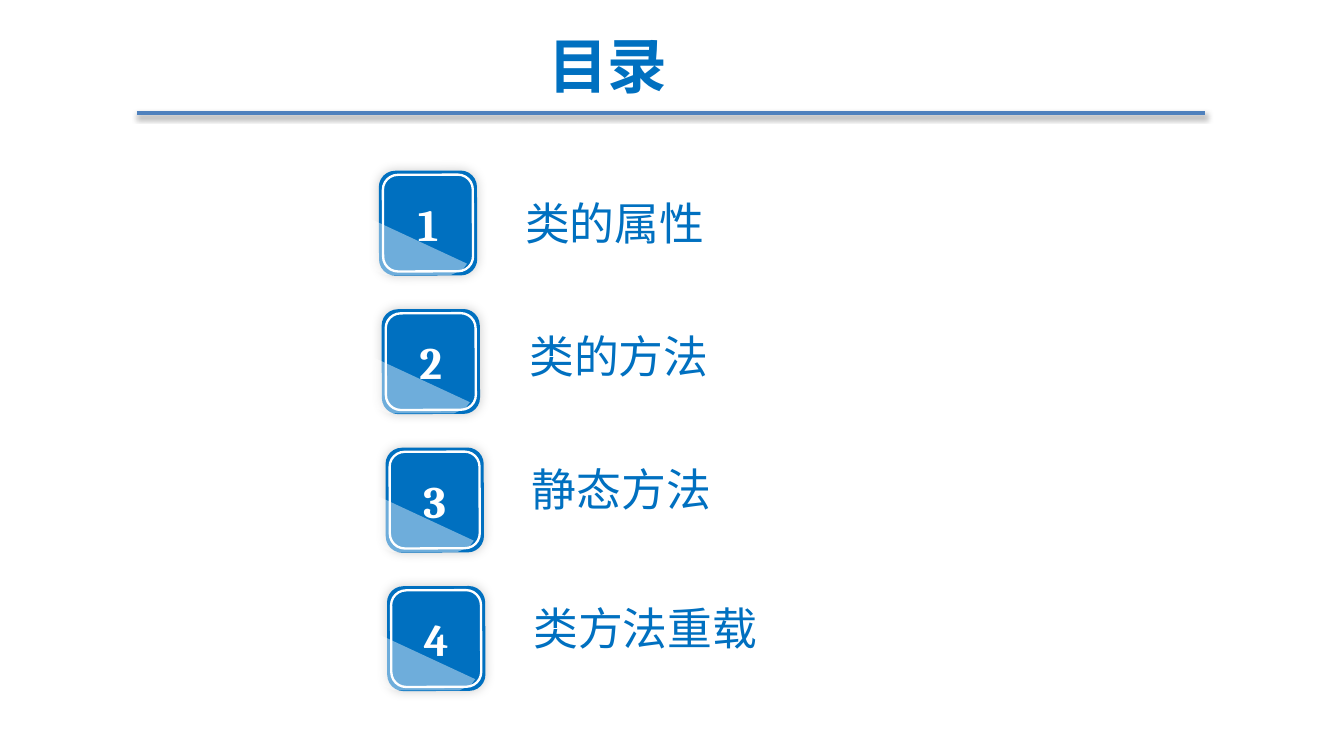
from dataclasses import dataclass
from typing import Optional

from lxml.etree import SubElement
from pptx import Presentation
from pptx.dml.color import RGBColor
from pptx.enum.shapes import MSO_CONNECTOR as Connector, MSO_SHAPE as Preset
from pptx.enum.text import MSO_ANCHOR as Anchor, PP_ALIGN as Align
from pptx.oxml.ns import qn
from pptx.util import Pt

BLUE, RULE_BLUE, WHITE, BLACK = "0070C0", "4F81BD", "FFFFFF", "000000"
HEADING_FONT, NUMBER_FONT = "Noto Sans CJK SC", "Cambria"
TILT = -0.2
FIRST_BADGE_TOP, BADGE_STEP = 91.4, 74.2
BADGE_WIDTH, BADGE_HEIGHT = 52.6, 56.2
RING_INSET = 2.2
GLOSS_WIDTH, GLOSS_HEIGHT, GLOSS_SLOPE = 52.2, 30.4, 24.5
GLOSS_SHIFT, GLOSS_DROP, GLOSS_RADIUS = -5, 25.5, 8.5


@dataclass(frozen=True)
class Shadow:
    opacity: int
    blur: float
    distance: float
    angle: int


@dataclass(frozen=True)
class Entry:
    label: str
    badge_left: float
    left: float
    top: float
    width: float
    indent: float = 0
    wrap: bool = False


RULE_SHADOW = Shadow(38, 3.1, 1.6, 90)
BADGE_SHADOW = Shadow(20, 6, 0, 225)
ENTRIES = [
    Entry("类的属性", 203, 238.3, 101.5, 263.5, indent=36, wrap=True),
    Entry("类的方法", 204.5, 276.5, 172.8, 111.6),
    Entry("静态方法", 206.6, 277.9, 244.1, 111.6),
    Entry("类方法重载", 207.4, 278.6, 318.2, 135.4),
]


def paint(color_format, color: str) -> None:
    color_format.rgb = RGBColor.from_string(color)


def set_opacity(color_element, percent: int) -> None:
    SubElement(color_element, qn("a:alpha")).set("val", str(percent * 1000))


def set_shadow(shape, shadow: Optional[Shadow] = None) -> None:
    effects = SubElement(shape._element.spPr, qn("a:effectLst"))
    if shadow:
        outer = SubElement(effects, qn("a:outerShdw"), {
            "blurRad": str(Pt(shadow.blur)),
            "dist": str(Pt(shadow.distance)),
            "dir": str(shadow.angle * 60000),
            "algn": "ctr",
            "rotWithShape": "0",
        })
        color = SubElement(outer, qn("a:srgbClr"), val=BLACK)
        set_opacity(color, shadow.opacity)


def add_run(paragraph, text: str, size: float, font: str, color: str, bold: bool) -> None:
    run = paragraph.add_run()
    run.text = text
    run.font.size = Pt(size)
    run.font.name = font
    run.font.bold = bold
    paint(run.font.color, color)
    SubElement(run.font._element, qn("a:ea"), typeface=font)


def add_title(slide, text: str) -> None:
    frame = slide.shapes.add_textbox(Pt(286.6), Pt(6.5), Pt(160.6), Pt(61.2)).text_frame
    frame.word_wrap = True
    frame.vertical_anchor = Anchor.MIDDLE
    frame.paragraphs[0].line_spacing = 0.9
    add_run(frame.paragraphs[0], text, 32, HEADING_FONT, BLUE, True)


def add_rule(slide) -> None:
    rule = slide.shapes.add_connector(
        Connector.STRAIGHT, Pt(73.4), Pt(60.5), Pt(645.8), Pt(60.5))
    paint(rule.line.color, RULE_BLUE)
    rule.line.width = Pt(2)
    set_shadow(rule, RULE_SHADOW)


def add_label(slide, entry: Entry) -> None:
    frame = slide.shapes.add_textbox(
        Pt(entry.left), Pt(entry.top), Pt(entry.width), Pt(36)).text_frame
    frame.word_wrap = entry.wrap
    paragraph = frame.paragraphs[0]
    if entry.indent:
        paragraph._p.get_or_add_pPr().set("marL", str(Pt(entry.indent)))
    add_run(paragraph, entry.label, 24, HEADING_FONT, BLUE, False)


def add_tile(shapes, left: float, top: float, inset: float = 0):
    tile = shapes.add_shape(
        Preset.ROUNDED_RECTANGLE, Pt(left + inset), Pt(top + inset),
        Pt(BADGE_WIDTH - 2 * inset), Pt(BADGE_HEIGHT - 2 * inset))
    tile.rotation = TILT
    return tile


def add_gloss(shapes, left: float, top: float) -> None:
    right, bottom = left + GLOSS_WIDTH, top + GLOSS_HEIGHT
    radius = GLOSS_RADIUS
    bend = 0.3 * radius
    outline = [
        (right, top + GLOSS_SLOPE),
        (right - bend, bottom - bend),
        (right - radius, bottom),
        (left + radius, bottom),
        (left + bend, bottom - bend),
        (left, bottom - radius),
    ]
    builder = shapes.build_freeform(Pt(left), Pt(top))
    builder.add_line_segments([(Pt(x), Pt(y)) for x, y in outline], close=True)
    gloss = builder.convert_to_shape()
    gloss.rotation = TILT
    gloss.fill.solid()
    paint(gloss.fill.fore_color, WHITE)
    set_opacity(gloss._element.spPr.find(qn("a:solidFill"))[0], 43)
    gloss.line.fill.background()
    set_shadow(gloss)


def add_badge(slide, number: int, left: float, top: float) -> None:
    shapes = slide.shapes.add_group_shape().shapes

    tile = add_tile(shapes, left, top)
    tile.fill.solid()
    paint(tile.fill.fore_color, BLUE)
    tile.line.fill.background()
    set_shadow(tile, BADGE_SHADOW)
    frame = tile.text_frame
    frame.vertical_anchor = Anchor.MIDDLE
    frame.paragraphs[0].alignment = Align.CENTER
    add_run(frame.paragraphs[0], str(number), 24, NUMBER_FONT, WHITE, True)

    ring = add_tile(shapes, left, top, RING_INSET)
    ring.fill.background()
    paint(ring.line.color, WHITE)
    ring.line.width = Pt(1.25)
    set_shadow(ring)

    add_gloss(shapes, left + GLOSS_SHIFT, top + GLOSS_DROP)


def main() -> None:
    deck = Presentation()
    deck.slide_width, deck.slide_height = Pt(720), Pt(405)
    slide = deck.slides.add_slide(deck.slide_layouts[6])
    add_title(slide, "目录")
    add_rule(slide)
    for index, entry in enumerate(ENTRIES):
        add_label(slide, entry)
        add_badge(slide, index + 1, entry.badge_left, FIRST_BADGE_TOP + index * BADGE_STEP)
    deck.save("out.pptx")


if __name__ == "__main__":
    main()
